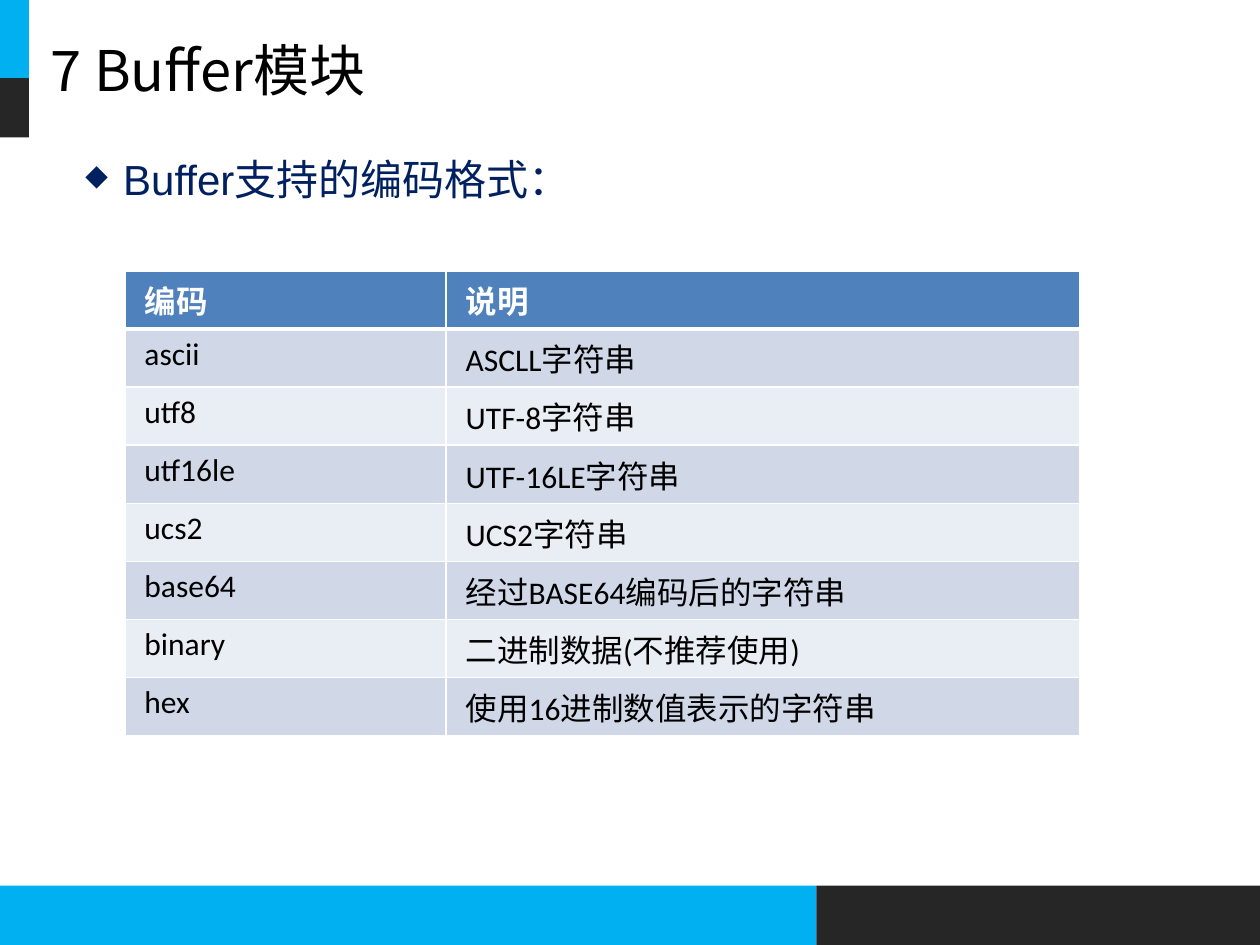
from typing import NamedTuple

from lxml import etree
from pptx import Presentation
from pptx.dml.color import RGBColor
from pptx.enum import shapes, text
from pptx.oxml import ns
from pptx.util import Inches, Pt

WHITE = RGBColor(0xFF, 0xFF, 0xFF)
BLACK = RGBColor(0, 0, 0)
NAVY = RGBColor(0x00, 0x20, 0x60)
CYAN = RGBColor(0x00, 0xB0, 0xF0)
CHARCOAL = RGBColor(0x26, 0x26, 0x26)
HEADER_BLUE = RGBColor(0x4F, 0x81, 0xBD)
BAND_DARK = RGBColor(0xD0, 0xD8, 0xE8)
BAND_LIGHT = RGBColor(0xE9, 0xED, 0xF4)
CJK_FONT = "Noto Sans CJK SC"


class Bar(NamedTuple):
    left: float
    top: float
    width: float
    height: float
    color: RGBColor


class Encoding(NamedTuple):
    name: str
    meaning: str


BARS = [
    Bar(0, 7.03, 6.48, 0.47, CYAN),
    Bar(6.48, 7.03, 3.52, 0.47, CHARCOAL),
    Bar(0, 0, 0.23, 0.62, CYAN),
    Bar(0, 0.62, 0.23, 0.47, CHARCOAL),
]
HEADER = Encoding("编码", "说明")
ENCODINGS = [
    Encoding("ascii", "ASCLL字符串"),
    Encoding("utf8", "UTF-8字符串"),
    Encoding("utf16le", "UTF-16LE字符串"),
    Encoding("ucs2", "UCS2字符串"),
    Encoding("base64", "经过BASE64编码后的字符串"),
    Encoding("binary", "二进制数据(不推荐使用)"),
    Encoding("hex", "使用16进制数值表示的字符串"),
]
COLUMN_WIDTHS = [2.55, 5.03]
TABLE_HEIGHT = 3.69


def add_span(para, words: str, size: float, font: str, color: RGBColor, bold: bool = False) -> None:
    span = para.add_run()
    span.text = words
    span.font.size = Pt(size)
    span.font.name = font
    span.font.bold = bold
    span.font.color.rgb = color
    east_asian = etree.SubElement(span.font._element, ns.qn("a:ea"))
    east_asian.set("typeface", CJK_FONT)


def add_bar(page, bar: Bar) -> None:
    box = page.shapes.add_shape(
        shapes.MSO_SHAPE.RECTANGLE, *(Inches(length) for length in bar[:4])
    )
    box.shadow.inherit = False
    box.fill.solid()
    box.fill.fore_color.rgb = bar.color
    box.line.fill.background()


def write_title(page) -> None:
    title = page.shapes.title
    title.left, title.top = Inches(0.3), Inches(0)
    title.width, title.height = Inches(9.39), Inches(1.09)
    title.text_frame.vertical_anchor = text.MSO_ANCHOR.MIDDLE
    para = title.text_frame.paragraphs[0]
    para.alignment = text.PP_ALIGN.LEFT
    add_span(para, "7 Buffer模块", 32, CJK_FONT, BLACK)


def add_bullet_text(page) -> None:
    box = page.shapes.add_textbox(Inches(0.5), Inches(0.97), Inches(9), Inches(5.88))
    box.text_frame.word_wrap = True
    para = box.text_frame.paragraphs[0]
    para.line_spacing = 1.5
    para.space_before = Pt(4.8)
    properties = para._p.get_or_add_pPr()
    properties.set("marL", str(Inches(0.38)))
    properties.set("indent", str(-Inches(0.3)))
    etree.SubElement(properties, ns.qn("a:buSzPct")).set("val", "70000")
    etree.SubElement(properties, ns.qn("a:buChar")).set("char", "◆")
    add_span(para, "Buffer支持的编码格式：", 24, "Arial", NAVY)


def set_borders(cell, bottom_width: float) -> None:
    properties = cell._tc.get_or_add_tcPr()
    widths = {"lnL": 1, "lnR": 1, "lnT": 1, "lnB": bottom_width}
    for position, (side, width) in enumerate(widths.items()):
        line = etree.Element(ns.qn(f"a:{side}"), w=str(Pt(width)))
        fill = etree.SubElement(line, ns.qn("a:solidFill"))
        etree.SubElement(fill, ns.qn("a:srgbClr")).set("val", str(WHITE))
        properties.insert(position, line)


def add_encoding_table(page) -> None:
    rows = [HEADER, *ENCODINGS]
    frame = page.shapes.add_table(
        len(rows), len(COLUMN_WIDTHS), Inches(0.99), Inches(2.15),
        Inches(sum(COLUMN_WIDTHS)), Inches(TABLE_HEIGHT),
    )
    table = frame.table
    for column, width in zip(table.columns, COLUMN_WIDTHS):
        column.width = Inches(width)
    for row_index, row in enumerate(rows):
        is_header = row_index == 0
        band = BAND_DARK if row_index % 2 else BAND_LIGHT
        table.rows[row_index].height = Inches(TABLE_HEIGHT / len(rows))
        for column_index, words in enumerate(row):
            cell = table.cell(row_index, column_index)
            cell.fill.solid()
            cell.fill.fore_color.rgb = HEADER_BLUE if is_header else band
            set_borders(cell, 3 if is_header else 1)
            add_span(
                cell.text_frame.paragraphs[0], f" {words}", 18, "Calibri",
                WHITE if is_header else BLACK, is_header,
            )


def main() -> None:
    deck = Presentation()
    deck.slide_width, deck.slide_height = Inches(10), Inches(7.5)
    page = deck.slides.add_slide(deck.slide_layouts[5])
    for bar in BARS:
        add_bar(page, bar)
    write_title(page)
    add_bullet_text(page)
    add_encoding_table(page)
    deck.save("out.pptx")


if __name__ == "__main__":
    main()
